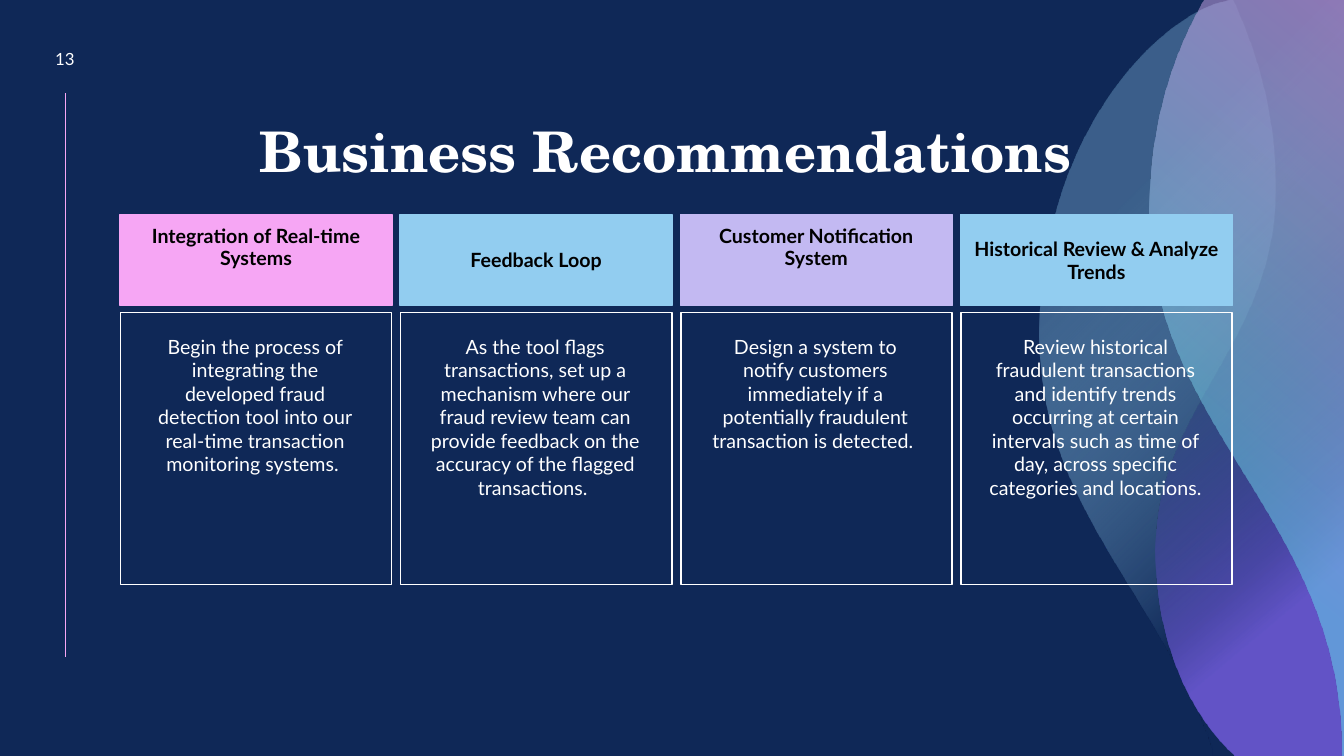
from pptx import Presentation
from pptx.dml.color import RGBColor
from pptx.enum.shapes import MSO_CONNECTOR as Connector, MSO_SHAPE as Shape
from pptx.enum.text import MSO_ANCHOR as Anchor, PP_ALIGN as Align
from pptx.oxml import parse_xml
from pptx.oxml.ns import nsdecls, qn
from pptx.util import Pt

COLORS = {
    "navy": "0F2857",
    "pink": "F6A6F4",
    "sky": "92CDF0",
    "lavender": "C3B9F2",
    "violet": "755EE1",
    "teal": "64DFED",
    "white": "FFFFFF",
    "black": "000000",
}
SLIDE_WIDTH, SLIDE_HEIGHT = 960, 540
STRAIGHT_EDGES = 4
CARD_LEFT, CARD_PITCH, CARD_WIDTH = 85.7, 200.1, 194.4
HEADER_TOP, HEADER_HEIGHT = 153.4, 64.8
BODY_TOP, BODY_HEIGHT = 223.3, 194.4
MARGINS = (7.2, 3.6, 7.2, 3.6)
RAISED_MARGINS = (7.2, 3.6, 7.2, 20.6)
BODY_MARGINS = (20.2, 15.8, 21.6, 3.6)

CARDS = [
    ("Integration of Real-time Systems", "pink", RAISED_MARGINS, 0.9,
     "Begin the process of integrating the developed fraud detection tool into our "
     "real-time transaction monitoring systems. "),
    ("Feedback Loop", "sky", MARGINS, 1.0,
     "As the tool flags transactions, set up a mechanism where our fraud review team "
     "can provide feedback on the accuracy of the flagged transactions. "),
    ("Customer Notification System", "lavender", RAISED_MARGINS, 0.9,
     "Design a system to notify customers immediately if a potentially fraudulent "
     "transaction is detected. "),
    ("Historical Review & Analyze Trends", "sky", MARGINS, 1.0,
     "Review historical fraudulent transactions and identify trends occurring at "
     "certain intervals such as time of day, across specific categories and locations."),
]

RADIAL = '<a:path path="circle"><a:fillToRect l="100000" t="100000"/></a:path>'
LINEAR = '<a:lin ang="{}" scaled="0"/>'

RIBBONS = [
    (878.4, (865.4, 535), [
        (830.9, 428.4), (742.3, 362.2), (742.3, 240.5),
        (741.6, 108.7), (815, 22.3), (867.6, 2.9),
    ], [(0, "navy", 100), (26, "navy", 100), (73, "sky", 33), (100, "sky", 33)], RADIAL),
    (880.6, (881.3, 539.3), [
        (853.2, 514.1), (825.1, 463), (825.1, 393.1),
        (825.8, 290.9), (909.4, 247), (910.8, 138.2),
        (911.5, 84.2), (898.6, 41.8), (884.2, 8.6),
    ], [(0, "navy", 28), (37, "navy", 28), (79, "violet", 80), (100, "violet", 80)],
     LINEAR.format(320 * 60000)),
    (859.7, (957.6, 530.6), [
        (954.7, 370.1), (821.5, 305.3), (820.8, 154.8),
        (820.1, 97.9), (833.8, 49.7), (853.2, 12.2),
    ], [(0, "teal", 48), (32, "teal", 48), (100, "pink", 48)],
     LINEAR.format(220 * 60000)),
]


def color(name):
    return RGBColor.from_string(COLORS[name])


def add_ribbon(slide, top_x, curve_start, curve_points, stops, direction):
    points = [(top_x, 0), (SLIDE_WIDTH, 0), (SLIDE_WIDTH, SLIDE_HEIGHT),
              (curve_start[0], SLIDE_HEIGHT), curve_start, *curve_points]
    center_x = (min(x for x, y in points) + SLIDE_WIDTH) / 2
    center_y = SLIDE_HEIGHT / 2
    turned = [(Pt(center_x + y - center_y), Pt(center_y - x + center_x))
              for x, y in points]
    builder = slide.shapes.build_freeform(*turned[0])
    builder.add_line_segments(turned[1:], close=True)
    shape = builder.convert_to_shape()
    bend_edges(shape, len(curve_points))
    shape.rotation = 90
    shape.shadow.inherit = False
    shape.line.fill.background()
    shape.fill.background()
    set_gradient(shape, stops, direction)


def bend_edges(shape, count):
    edges = list(shape._element.spPr.iter(qn("a:lnTo")))
    controls = edges[STRAIGHT_EDGES:STRAIGHT_EDGES + count]
    for first in range(0, count, 3):
        curve = parse_xml(f'<a:cubicBezTo {nsdecls("a")}/>')
        controls[first].addprevious(curve)
        for edge in controls[first:first + 3]:
            curve.append(edge[0])
            edge.getparent().remove(edge)


def set_gradient(shape, stops, direction):
    stop_xml = "".join(
        f'<a:gs pos="{position * 1000}"><a:srgbClr val="{COLORS[name]}">'
        f'<a:alpha val="{opacity * 1000}"/></a:srgbClr></a:gs>'
        for position, name, opacity in stops)
    gradient = parse_xml(f'<a:gradFill {nsdecls("a")} rotWithShape="1">'
                         f'<a:gsLst>{stop_xml}</a:gsLst>{direction}</a:gradFill>')
    properties = shape._element.spPr
    properties.replace(properties.find(qn("a:noFill")), gradient)


def add_rule(slide, x, top, bottom):
    rule = slide.shapes.add_connector(Connector.STRAIGHT, Pt(x), Pt(top), Pt(x), Pt(bottom))
    rule.line.color.rgb = color("pink")
    rule.line.width = Pt(0.75)
    rule._element.spPr.append(parse_xml(f'<a:effectLst {nsdecls("a")}/>'))


def set_text(shape, text, size, font_name="Lato", font_color="white", bold=False,
             anchor=Anchor.MIDDLE, margins=MARGINS, line_spacing=1.0):
    frame = shape.text_frame
    frame.word_wrap = True
    frame.vertical_anchor = anchor
    (frame.margin_left, frame.margin_top,
     frame.margin_right, frame.margin_bottom) = map(Pt, margins)
    frame.text = text
    paragraph = frame.paragraphs[0]
    paragraph.alignment = Align.CENTER
    paragraph.line_spacing = line_spacing
    font = paragraph.runs[0].font
    font.name, font.size, font.bold = font_name, Pt(size), bold
    font.color.rgb = color(font_color)


def add_label(slide, box, text, size, **style):
    set_text(slide.shapes.add_textbox(*map(Pt, box)), text, size, **style)


def add_box(slide, box, text, line, fill=None, **style):
    shape = slide.shapes.add_shape(Shape.RECTANGLE, *map(Pt, box))
    shape.shadow.inherit = False
    if fill:
        shape.fill.solid()
        shape.fill.fore_color.rgb = color(fill)
    else:
        shape.fill.background()
    shape.line.color.rgb = color(line)
    shape.line.width = Pt(1)
    set_text(shape, text, 14, **style)


def main():
    presentation = Presentation()
    presentation.slide_width = Pt(SLIDE_WIDTH)
    presentation.slide_height = Pt(SLIDE_HEIGHT)
    slide = presentation.slides.add_slide(presentation.slide_layouts[6])
    slide.background.fill.solid()
    slide.background.fill.fore_color.rgb = color("navy")

    add_rule(slide, 46.8, 66.7, 469.4)
    for ribbon in RIBBONS:
        add_ribbon(slide, *ribbon)
    add_label(slide, (25.9, 29.8, 41, 24.5), "13", 12)

    for index, (heading, fill, margins, line_spacing, body) in enumerate(CARDS):
        left = CARD_LEFT + index * CARD_PITCH
        add_box(slide, (left, HEADER_TOP, CARD_WIDTH, HEADER_HEIGHT), heading, fill, fill,
                font_color="black", bold=True, margins=margins, line_spacing=line_spacing)
        add_box(slide, (left + 0.4, BODY_TOP, CARD_WIDTH - 0.7, BODY_HEIGHT), body, "white",
                anchor=Anchor.TOP, margins=BODY_MARGINS)

    add_label(slide, (125.8, 79.9, 699.1, 55.4), "Business Recommendations", 40,
              font_name="TeX Gyre Schola", bold=True, anchor=Anchor.BOTTOM, line_spacing=0.9)
    presentation.save("out.pptx")


if __name__ == "__main__":
    main()
